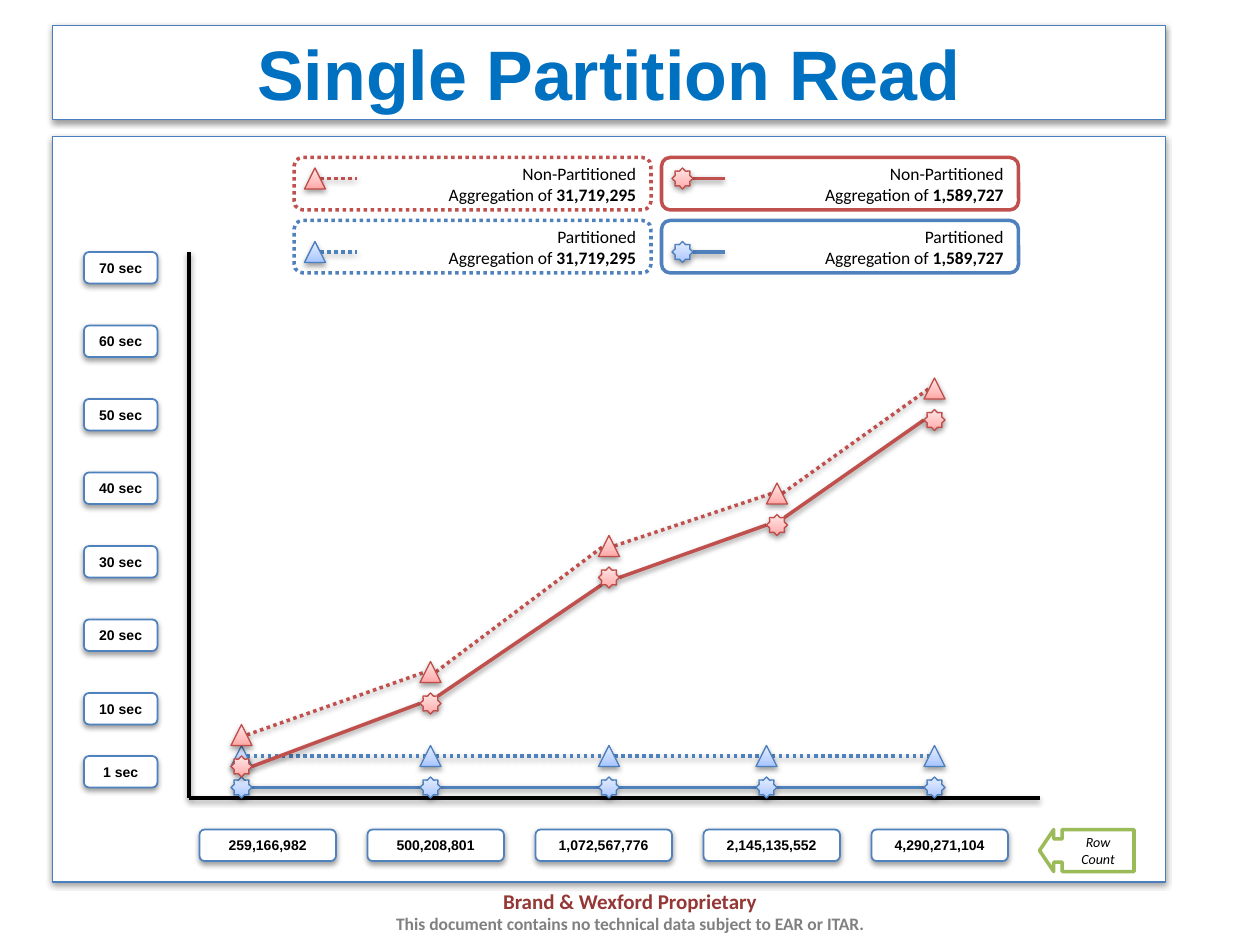
from dataclasses import dataclass

import lxml.etree
import pptx
import pptx.dml.color
import pptx.enum.dml
import pptx.enum.shapes
import pptx.enum.text
import pptx.oxml.ns
import pptx.util

Pt = pptx.util.Pt
SHAPE = pptx.enum.shapes.MSO_SHAPE
ALIGN = pptx.enum.text.PP_ALIGN
ANCHOR = pptx.enum.text.MSO_ANCHOR
DOTTED = pptx.enum.dml.MSO_LINE.ROUND_DOT
qn = pptx.oxml.ns.qn


@dataclass(frozen=True)
class Theme:
    white: str = "FFFFFF"
    black: str = "000000"
    red: str = "C0504D"
    blue: str = "4F81BD"
    green: str = "9BBB59"
    red_edge: str = "BF4C48"
    blue_edge: str = "4B7EBC"
    red_stops: tuple = ((0, "FFA6A5"), (35, "FFC0BF"), (100, "FFE7E7"))
    blue_stops: tuple = ((0, "A4C4FF"), (35, "BFD4FF"), (100, "E6EEFF"))
    title: str = "0070C0"
    owner: str = "953735"
    notice: str = "808080"
    heading: str = "Arial"
    body: str = "Calibri"
    title_size: int = 40
    owner_size: int = 12
    legend_size: int = 10
    label_size: int = 8
    thin: float = 0.75
    medium: float = 1
    thick: float = 2


T = Theme()
MARKER = 12
CORNER = 4.24


@dataclass(frozen=True)
class Series:
    name: str
    rows: str
    color: str
    edge: str
    stops: tuple
    marker: object
    dash: object
    gap: int
    key: tuple
    points: tuple
    starts: tuple = ()
    ends: tuple = ()


RED = (T.red, T.red_edge, T.red_stops)
BLUE = (T.blue, T.blue_edge, T.blue_stops)
STAR = (SHAPE.STAR_8_POINT, None, 6)
TRIANGLE = (SHAPE.ISOSCELES_TRIANGLE, DOTTED, 3)
RED_X = (138, 246, 348, 444, 534)
BLUE_X = (138, 246, 348, 438, 534)

SERIES = (
    Series("Partitioned", "1,589,727", *BLUE, *STAR, (378, 126, 144),
           tuple((x, 450) for x in BLUE_X)),
    Series("Partitioned", "31,719,295", *BLUE, *TRIANGLE, (168, 126, 144),
           tuple((x, 432) for x in BLUE_X)),
    Series("Non-Partitioned", "1,589,727", *RED, *STAR, (378, 90, 102),
           tuple(zip(RED_X, (438, 402, 330, 300, 240))),
           ((6, 0), (CORNER, -CORNER)) * 2,
           ((-6, 0), (-CORNER, CORNER), (-6, 0), (-6, 0))),
    Series("Non-Partitioned", "31,719,295", *RED, *TRIANGLE, (168, 90, 102),
           tuple(zip(RED_X, (420, 384, 312, 282, 222)))),
)


def rgb(color):
    return pptx.dml.color.RGBColor.from_string(color)


def set_line(sp, color, width, dash=None):
    sp.line.color.rgb = rgb(color)
    sp.line.width = Pt(width)
    if dash is not None:
        sp.line.dash_style = dash


def add_shadow(sp):
    spPr = sp._element.spPr
    effects = spPr.find(qn("a:effectLst"))
    if effects is None:
        effects = lxml.etree.SubElement(spPr, qn("a:effectLst"))
    shadow = lxml.etree.SubElement(
        effects, qn("a:outerShdw"), blurRad="40000", dist="20000",
        dir="5400000", rotWithShape="0")
    color = lxml.etree.SubElement(shadow, qn("a:srgbClr"), val=T.black)
    lxml.etree.SubElement(color, qn("a:alpha"), val="38000")


def add_box(s, kind, box, line, width, dash=None, shadow=True):
    sp = s.shapes.add_shape(kind, *map(Pt, box))
    sp.shadow.inherit = False
    sp.fill.solid()
    sp.fill.fore_color.rgb = rgb(T.white)
    set_line(sp, line, width, dash)
    if shadow:
        add_shadow(sp)
    return sp


def add_line(s, start, end, color, dash=None):
    sp = s.shapes.add_connector(
        pptx.enum.shapes.MSO_CONNECTOR.STRAIGHT, *map(Pt, (*start, *end)))
    set_line(sp, color, T.thick, dash)
    add_shadow(sp)


def add_marker(s, series, x, y):
    half = MARKER / 2
    sp = add_box(s, series.marker, (x - half, y - half, MARKER, MARKER),
                 series.edge, T.thin)
    sp.fill.gradient()
    sp.fill.gradient_angle = 90
    stops = sp._element.spPr.find(".//" + qn("a:gsLst"))
    stops.clear()
    for position, color in series.stops:
        stop = lxml.etree.SubElement(stops, qn("a:gs"), pos=str(position * 1000))
        lxml.etree.SubElement(stop, qn("a:srgbClr"), val=color)


def add_run(p, text, size, color=T.black, font=T.body, bold=False, italic=False):
    r = p.add_run()
    r.text = text
    r.font.size = Pt(size)
    r.font.name = font
    r.font.bold = bold
    r.font.italic = italic
    r.font.color.rgb = rgb(color)


def write(sp, lines, align=ALIGN.CENTER, anchor=ANCHOR.MIDDLE):
    tf = sp.text_frame
    tf.word_wrap = True
    tf.auto_size = pptx.enum.text.MSO_AUTO_SIZE.NONE
    tf.vertical_anchor = anchor
    for i, runs in enumerate(lines):
        p = tf.paragraphs[0] if i == 0 else tf.add_paragraph()
        p.alignment = align
        for text, style in runs:
            add_run(p, text, **style)


def add_title(s, text):
    sp = s.shapes.title
    sp.left, sp.top, sp.width, sp.height = map(Pt, (30, 14.4, 636, 54))
    sp.fill.solid()
    sp.fill.fore_color.rgb = rgb(T.white)
    set_line(sp, T.blue_edge, T.thin)
    add_shadow(sp)
    style = dict(size=T.title_size, color=T.title, font=T.heading, bold=True)
    write(sp, [[(text, style)]])


def add_label(s, text, box):
    sp = add_box(s, SHAPE.ROUNDED_RECTANGLE, box, T.blue, T.medium)
    sp.text_frame.margin_left = sp.text_frame.margin_right = 0
    write(sp, [[(text, dict(size=T.label_size, font=T.heading, bold=True))]])


def add_axes(s):
    add_line(s, (108, 144), (108, 456), T.black)
    add_line(s, (594, 456), (108, 456), T.black)
    counts = ("259,166,982", "500,208,801", "1,072,567,776",
              "2,145,135,552", "4,290,271,104")
    for i, count in enumerate(counts):
        add_label(s, count, (114 + 96 * i, 474, 78, 18))
    add_label(s, "1 sec", (48, 432, 42, 18))
    for i in range(1, 8):
        add_label(s, f"{10 * i} sec", (48, 438 - 42 * i, 42, 18))
    sp = add_box(s, SHAPE.LEFT_ARROW_CALLOUT, (594, 474, 54, 24),
                 T.green, T.thick, shadow=False)
    for i, value in enumerate((0.55, 0.5, 0.34, 0.76)):
        sp.adjustments[i] = value
    write(sp, [[("Row Count", dict(size=T.label_size, italic=True))]])


def add_series(s, series):
    last = len(series.points) - 1
    starts = series.starts or ((series.gap, 0),) * last
    ends = series.ends or ((-series.gap, 0),) * last
    for a, b, (ax, ay), (bx, by) in zip(series.points, series.points[1:], starts, ends):
        add_line(s, (a[0] + ax, a[1] + ay), (b[0] + bx, b[1] + by),
                 series.color, series.dash)
    for x, y in series.points:
        add_marker(s, series, x, y)


def add_legend(s, series):
    left, top, y = series.key
    sp = add_box(s, SHAPE.ROUNDED_RECTANGLE, (left, top, 204, 30),
                 series.color, T.thick, series.dash, shadow=False)
    plain = dict(size=T.legend_size)
    write(sp, [[(series.name, plain)],
               [("Aggregation of ", plain), (series.rows, dict(plain, bold=True))]],
          ALIGN.RIGHT)
    x = left + 12
    add_line(s, (x + series.gap, y), (x + 24, y), series.color, series.dash)
    add_marker(s, series, x, y)


def add_footer(s):
    sp = s.shapes.add_textbox(*map(Pt, (12, 504, 696, 30)))
    owner = dict(size=T.owner_size, color=T.owner, bold=True)
    notice = dict(size=T.legend_size, color=T.notice, bold=True)
    write(sp, [[("Brand & Wexford Proprietary", owner)],
               [("This document contains no technical data subject to EAR or ITAR.",
                 notice)]], anchor=ANCHOR.TOP)


def main():
    prs = pptx.Presentation()
    prs.slide_width, prs.slide_height = Pt(720), Pt(540)
    s = prs.slides.add_slide(prs.slide_layouts[5])
    add_title(s, "Single Partition Read")
    add_box(s, SHAPE.RECTANGLE, (30, 78, 636, 426), T.blue_edge, T.thin)
    add_axes(s)
    for series in SERIES:
        add_series(s, series)
        add_legend(s, series)
    add_footer(s)
    prs.save("out.pptx")


if __name__ == "__main__":
    main()
